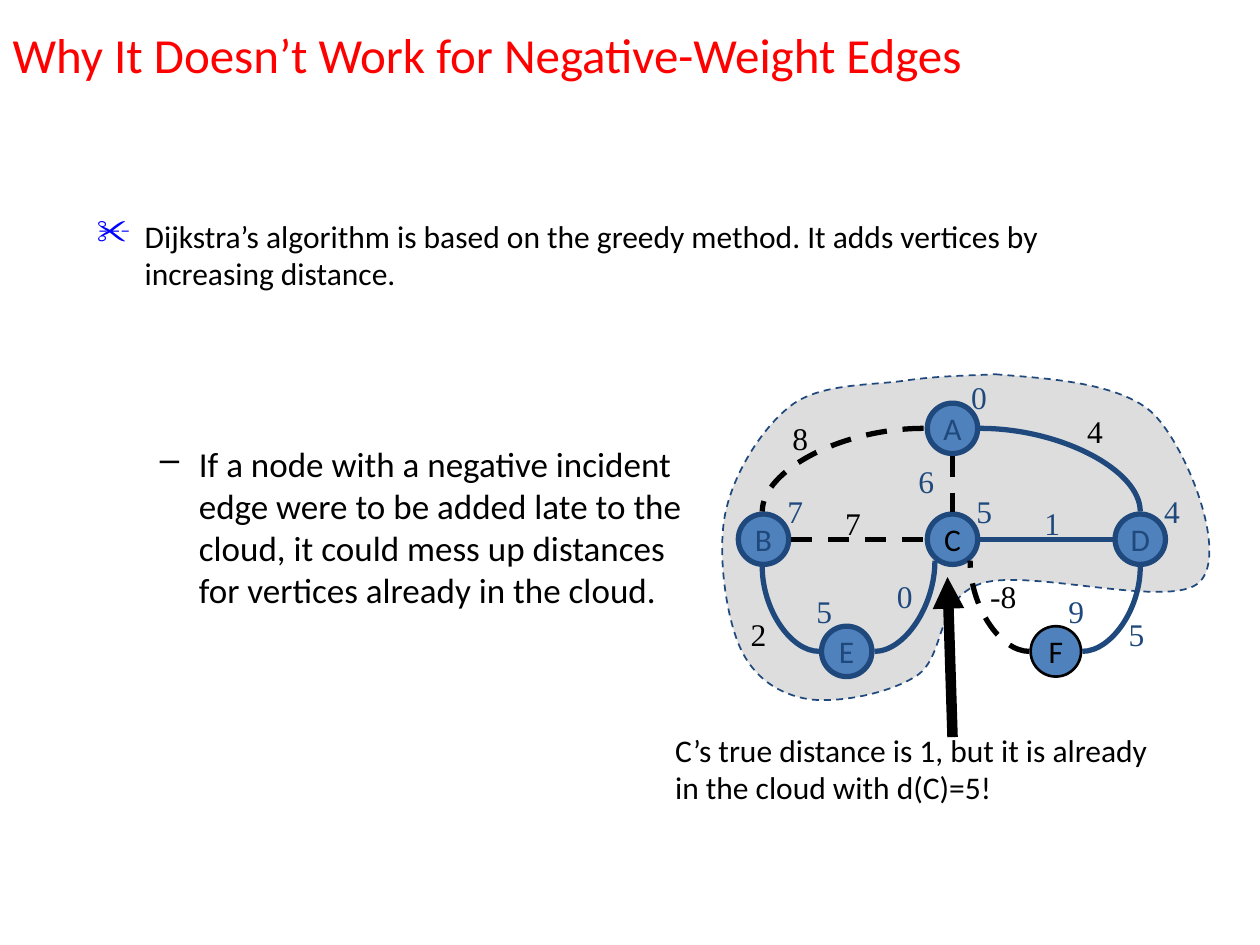
from lxml.etree import SubElement
from pptx import Presentation
from pptx.dml.color import RGBColor
from pptx.enum.dml import MSO_LINE
from pptx.enum.shapes import MSO_CONNECTOR, MSO_SHAPE
from pptx.enum.text import MSO_ANCHOR, PP_ALIGN
from pptx.oxml.ns import qn
from pptx.util import Inches, Pt

BLACK, NAVY, BLUE, GREY, RED = "000000", "1F497D", "4F81BD", "DDDDDD", "FF0000"
BULLET_BLUE = "0000FF"
SANS, SERIF = "Calibri", "Times New Roman"


def rgb(value):
    """Turn a hex string into a colour."""
    return RGBColor.from_string(value)


class GraphSlide:
    """Style and drawing methods for one slide with a graph."""

    def __init__(self, prs):
        """Add a title-only slide."""
        self.s = prs.slides.add_slide(prs.slide_layouts[5])

    def add_text(self, tf, text, size=18, font=SANS, color=BLACK, align=PP_ALIGN.LEFT):
        """Put one run in the first paragraph."""
        p = tf.paragraphs[0]
        p.alignment = align
        r = p.add_run()
        r.text = text
        r.font.size, r.font.name = Pt(size), font
        r.font.color.rgb = rgb(color)
        return p

    def stroke(self, line, color, width, dashed=False):
        """Format a line."""
        line.color.rgb = rgb(color)
        line.width = Pt(width)
        if dashed:
            line.dash_style = MSO_LINE.DASH

    def title(self, text, x, y, w, h):
        """Place and fill the title."""
        sp = self.s.shapes.title
        sp.left, sp.top, sp.width, sp.height = map(Inches, (x, y, w, h))
        sp.text_frame.vertical_anchor = MSO_ANCHOR.MIDDLE
        self.add_text(sp.text_frame, text, 28, color=RED)

    def text(self, text, x, y, w, h, wrap=True, **style):
        """Add a text box and return its paragraph."""
        tf = self.s.shapes.add_textbox(*map(Inches, (x, y, w, h))).text_frame
        tf.word_wrap = wrap
        return self.add_text(tf, text, **style)

    def bullet(self, p, char, color, margin, indent, before, percent=100):
        """Give a paragraph a bullet and a hanging indent."""
        p.space_before = Pt(before)
        pPr = p._p.get_or_add_pPr()
        pPr.set("marL", str(Inches(margin)))
        pPr.set("indent", str(Inches(indent)))
        clr = SubElement(pPr, qn("a:buClr"))
        SubElement(clr, qn("a:srgbClr")).set("val", color)
        SubElement(pPr, qn("a:buSzPct")).set("val", str(percent * 1000))
        SubElement(pPr, qn("a:buChar")).set("char", char)

    def cloud(self, points):
        """Draw a closed outline of cubic curves, three points to a curve."""
        start, *rest = [(Inches(x), Inches(y)) for x, y in points]
        builder = self.s.shapes.build_freeform(*start)
        builder.add_line_segments(rest, close=True)
        sp = builder.convert_to_shape()
        sp.shadow.inherit = False
        sp.fill.solid()
        sp.fill.fore_color.rgb = rgb(GREY)
        self.stroke(sp.line, NAVY, 1, True)
        lines = list(sp._element.iter(qn("a:lnTo")))
        for i in range(0, len(lines) - 2, 3):
            curve = lines[i].makeelement(qn("a:cubicBezTo"))
            lines[i].addprevious(curve)
            for line in lines[i:i + 3]:
                curve.append(line[0])
                line.getparent().remove(line)

    def node(self, name, x, y, color=NAVY, outline=NAVY, width=3, d=0.4):
        """Draw a vertex centred on a point."""
        sp = self.s.shapes.add_shape(
            MSO_SHAPE.OVAL, *map(Inches, (x - d / 2, y - d / 2, d, d)))
        sp.shadow.inherit = False
        sp.fill.solid()
        sp.fill.fore_color.rgb = rgb(BLUE)
        self.stroke(sp.line, outline, width)
        tf = sp.text_frame
        tf.word_wrap = False
        tf.vertical_anchor = MSO_ANCHOR.MIDDLE
        self.add_text(tf, name, color=color, align=PP_ALIGN.CENTER)

    def edge(self, x1, y1, x2, y2, dashed=False, width=3, arrow=False):
        """Draw an edge, curved from level to upright when it is a diagonal."""
        curved = not arrow and x1 != x2 and y1 != y2
        kind = MSO_CONNECTOR.CURVE if curved else MSO_CONNECTOR.STRAIGHT
        cn = self.s.shapes.add_connector(kind, *map(Inches, (x1, y1, x2, y2)))
        self.stroke(cn.line, BLACK if dashed or arrow else NAVY, width, dashed)
        spPr = cn._element.spPr
        if curved:
            spPr.find(qn("a:prstGeom")).set("prst", "curvedConnector2")
        if arrow:
            SubElement(spPr.find(qn("a:ln")), qn("a:tailEnd")).set("type", "triangle")
        SubElement(spPr, qn("a:effectLst"))


prs = Presentation()
prs.slide_width, prs.slide_height = Inches(10), Inches(7.5)
g = GraphSlide(prs)
g.title("Why It Doesn’t Work for Negative-Weight Edges", 0, -0.2, 9, 1.25)
p = g.text("If a node with a negative incident edge were to be added late to the cloud, "
           "it could mess up distances for vertices already in the cloud.",
           0.67, 3.46, 5.02, 2.7, size=20)
g.bullet(p, "–", BLACK, 0.81, -0.31, 5)

g.cloud([(7.9, 2.97),
         (8.22, 3), (8.89, 3.02), (9.16, 3.29), (9.43, 3.57), (9.75, 4.4), (9.52, 4.62),
         (9.3, 4.84), (8.17, 4.51), (7.79, 4.63), (7.42, 4.75), (7.51, 5.2), (7.28, 5.36),
         (7.05, 5.51), (6.65, 5.58), (6.42, 5.55), (6.18, 5.51), (5.98, 5.38), (5.87, 5.13),
         (5.76, 4.88), (5.69, 4.37), (5.76, 4.06), (5.83, 3.74), (6.06, 3.38), (6.29, 3.21),
         (6.53, 3.04), (6.92, 3.06), (7.19, 3.02), (7.46, 2.98), (7.75, 2.98), (7.9, 2.97)])

ROW_A, ROW_C, ROW_E = 3.4, 4.28, 5.17
for name, x, y in [("B", 6.06, ROW_C), ("A", 7.56, ROW_A),
                   ("E", 6.72, ROW_E), ("D", 9.05, ROW_C)]:
    g.node(name, x, y)
g.node("C", 7.56, ROW_C, BLACK)
g.node("F", 8.38, ROW_E, BLACK, BLACK, 1.5)

for x1, y1, x2, y2, dashed in [
        (7.33, ROW_A, 6.05, 4.06, True), (6.5, ROW_E, 6.05, 4.5, False),
        (6.94, ROW_E, 7.42, 4.45, False), (7.56, 3.62, 7.56, 4.06, True),
        (6.28, ROW_C, 7.34, ROW_C, True), (8.59, ROW_E, 9.05, 4.5, False),
        (7.78, ROW_A, 9.05, 4.06, False), (7.78, ROW_C, 8.83, ROW_C, False),
        (8.17, ROW_E, 7.7, 4.45, True)]:
    g.edge(x1, y1, x2, y2, dashed)

labels = {
    NAVY: [("0", 7.61, 2.95), ("4", 9.14, 3.86), ("5", 7.65, 3.86), ("7", 6.15, 3.86),
           ("5", 6.38, 4.65), ("9", 8.38, 4.65), ("1", 8.19, 3.95), ("5", 8.86, 4.83),
           ("6", 7.19, 3.62), ("0", 7.02, 4.53)],
    BLACK: [("4", 8.53, 3.22), ("8", 6.19, 3.28), ("7", 6.61, 3.95), ("2", 5.86, 4.83),
            ("-8", 7.76, 4.53)]}
for color, items in labels.items():
    for value, x, y in items:
        g.text(value, x, y, 0.23 + 0.09 * len(value), 0.4,
               wrap=False, font=SERIF, color=color)

p = g.text("Dijkstra’s algorithm is based on the greedy method. "
           "It adds vertices by increasing distance.", 0.67, 1.67, 7.71, 1.29)
g.bullet(p, "✂", BULLET_BLUE, 0.38, -0.38, 4.5, 110)
g.text("C’s true distance is 1, but it is already in the cloud with d(C)=5!",
       5.26, 5.75, 4.07, 0.7)
g.edge(7.56, 5.85, 7.52, 4.58, width=6, arrow=True)
prs.save("out.pptx")
